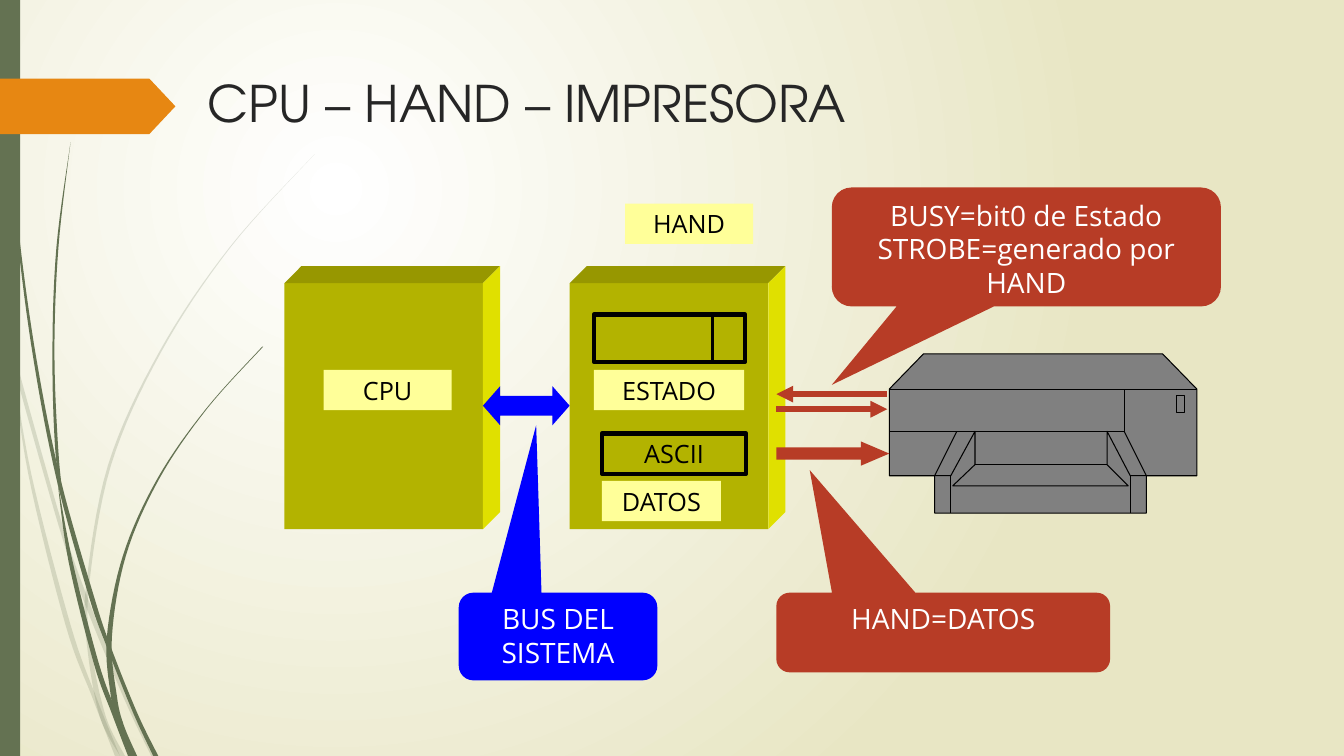
from lxml import etree
from pptx import Presentation
from pptx.dml.color import RGBColor
from pptx.enum.shapes import MSO_CONNECTOR as CONN, MSO_SHAPE as SHAPE
from pptx.enum.text import MSO_ANCHOR as ANCHOR, PP_ALIGN as ALIGN
from pptx.oxml.ns import qn
from pptx.util import Inches, Pt

GREEN = RGBColor(0x64, 0x72, 0x52)
ORANGE = RGBColor(0xE7, 0x87, 0x12)
CREAM = RGBColor(0xE8, 0xE6, 0xC4)
FRONT = RGBColor(0xB3, 0xB3, 0x00)
TOP = RGBColor(0x97, 0x97, 0x00)
SIDE = RGBColor(0xE0, 0xE0, 0x00)
LABEL = RGBColor(0xFF, 0xFF, 0x99)
RED = RGBColor(0xB7, 0x3C, 0x26)
BLUE = RGBColor(0x00, 0x00, 0xFF)
GREY = RGBColor(0x80, 0x80, 0x80)
INK = RGBColor(0x26, 0x26, 0x26)
BLACK = RGBColor(0x00, 0x00, 0x00)
WHITE = RGBColor(0xFF, 0xFF, 0xFF)
TITLE_FONT, BODY_FONT = "TeX Gyre Adventor", "Open Sans"

TITLE = "CPU – HAND – IMPRESORA"

# Grass blades: (left edge, right edge, y) from tip to root
PALE_BLADES = [
    [(0, 0, 2.82), (0.1, 0.14, 3.45), (0.17, 0.21, 3.76), (0.58, 0.62, 5.21),
     (0.83, 0.88, 5.96), (1.23, 1.27, 6.93), (1.5, 1.55, 7.5)],
    [(0.11, 0.11, 3.5), (0.28, 0.31, 4.7), (0.65, 0.7, 6.2), (0.92, 0.96, 6.93),
     (1.14, 1.19, 7.5)],
    [(3.12, 3.12, 1.53), (2.28, 2.29, 2.45), (1.58, 1.6, 3.49), (1.07, 1.1, 4.62),
     (0.85, 0.88, 5.85), (0.87, 0.91, 6.46), (0.99, 1.05, 7.11), (1.19, 1.24, 7.5)],
]
DARK_BLADES = [
    [(0.03, 0.04, 0), (0.07, 0.08, 1.1), (0.17, 0.19, 2.33), (0.33, 0.36, 3.55),
     (0.56, 0.6, 4.75), (0.88, 0.93, 5.91), (1.06, 1.1, 6.42), (1.32, 1.36, 7.07),
     (1.52, 1.57, 7.5)],
    [(0.57, 0.57, 4.77), (0.68, 0.72, 5.57), (0.93, 0.98, 6.58), (1.11, 1.16, 7.08),
     (1.27, 1.31, 7.5)],
    [(0.7, 0.7, 1.41), (0.56, 0.58, 2.45), (0.52, 0.54, 3.49), (0.55, 0.58, 4.49),
     (0.64, 0.64, 5.05)],
    [(2.6, 2.61, 3.44), (2.04, 2.05, 4.06), (1.56, 1.58, 4.75), (1.22, 1.25, 5.51),
     (1.06, 1.11, 6.32), (1.1, 1.16, 6.91), (1.17, 1.23, 7.2), (1.28, 1.36, 7.5)],
]

BLOCK_LEFTS = [2.82, 5.65]
BLOCK_TOP, BLOCK_W, BLOCK_H, DEPTH = 2.81, 1.97, 2.44, 0.17

PRINTER_BODY = [(9.16, 3.51), (11.53, 3.51), (11.87, 3.86), (11.87, 4.72), (11.37, 4.72),
                (11.37, 5.09), (9.27, 5.09), (9.27, 4.72), (8.82, 4.72), (8.82, 3.86),
                (9.16, 3.51)]
PRINTER_EDGES = [
    [(8.82, 3.86), (11.87, 3.86)],
    [(11.15, 3.86), (11.15, 4.28), (8.82, 4.28)],
    [(9.43, 4.72), (9.43, 5.09)],
    [(11.21, 4.72), (11.21, 5.09)],
    [(10.98, 4.61), (10.98, 4.28), (11.21, 4.72), (11.37, 4.72), (11.15, 4.28)],
    [(10.98, 4.61), (11.19, 4.82), (9.45, 4.82), (9.67, 4.61), (9.67, 4.28),
     (9.43, 4.72), (9.27, 4.72), (9.49, 4.28)],
    [(9.67, 4.61), (10.98, 4.61)],
    [(11.67, 3.92), (11.75, 3.92), (11.75, 4.09), (11.67, 4.09), (11.67, 3.92)],
]

LABELS = [  # text, box
    ("CPU", (3.21, 3.67, 1.27, 0.4)),
    ("ESTADO", (5.89, 3.67, 1.49, 0.4)),
    ("DATOS", (5.97, 4.77, 1.18, 0.4)),
    ("HAND", (6.2, 2.02, 1.27, 0.4)),
]
REGISTERS = [("", (5.89, 3.12, 1.5, 0.47)), ("ASCII", (5.97, 4.3, 1.43, 0.4))]
SIGNALS = [(4.06, "tailEnd"), (3.91, "headEnd")]  # y, arrowhead end
BLOCK_ARROWS = [  # shape, box, adjustments, colour
    (SHAPE.RIGHT_ARROW, (7.7, 4.38, 1.12, 0.24), (0.5, 1.17), RED),
    (SHAPE.LEFT_RIGHT_ARROW, (4.79, 3.83, 0.86, 0.39), (0.5, 0.44), BLUE),
]
CALLOUTS = [  # text, box, pointer offset, colour
    ("BUSY=bit0 de Estado STROBE=generado por HAND", (8.25, 1.86, 3.86, 1.18), (-0.5, 1.16), RED),
    ("HAND=DATOS", (7.7, 5.88, 3.31, 0.79), (-0.4, -2.04), RED),
    ("BUS DEL SISTEMA", (4.55, 5.88, 1.97, 0.87), (-0.11, -2.41), BLUE),
]

prs = Presentation()
prs.slide_width, prs.slide_height = Inches(13.33), Inches(7.5)
s = prs.slides.add_slide(prs.slide_layouts[5])


def write(sp, text, size=18, color=BLACK, font=BODY_FONT, align=ALIGN.CENTER, anchor=ANCHOR.MIDDLE):
    tf = sp.text_frame
    tf.word_wrap, tf.vertical_anchor = True, anchor
    p = tf.paragraphs[0]
    p.alignment = align
    r = p.add_run()
    r.text = text
    r.font.size, r.font.name, r.font.color.rgb = Pt(size), font, color


def paint(sp, fill=None, line=None, width=0.75):
    sp.shadow.inherit = False
    if fill is None:
        sp.fill.background()
    else:
        sp.fill.solid()
        sp.fill.fore_color.rgb = fill
    if line is None:
        sp.line.fill.background()
    else:
        sp.line.color.rgb, sp.line.width = line, Pt(width)
    return sp


def shape(kind, box, adjustments=(), **look):
    sp = s.shapes.add_shape(kind, *map(Inches, box))
    for i, value in enumerate(adjustments):
        sp.adjustments[i] = value
    return paint(sp, **look)


def outline(contours, close=True, **look):
    fb = None
    for contour in contours:
        pts = [(Inches(x), Inches(y)) for x, y in contour]
        if fb is None:
            fb = s.shapes.build_freeform(*pts[0], scale=1.0)
        else:
            fb.move_to(*pts[0])
        fb.add_line_segments(pts[1:], close=close)
    return paint(fb.convert_to_shape(), **look)


def smooth(points, steps=8):
    """Catmull-Rom curve through the points."""
    ext = [points[0], *points, points[-1]]
    curve = [points[0]]
    for a, b, c, d in zip(ext, ext[1:], ext[2:], ext[3:]):
        for k in range(1, steps + 1):
            t = k / steps
            curve.append(tuple(
                (2 * q + (r - p) * t + (2 * p - 5 * q + 4 * r - u) * t ** 2
                 + (3 * q - p - 3 * r + u) * t ** 3) / 2
                for p, q, r, u in zip(a, b, c, d)))
    return curve


def blade(stations):
    curve = smooth(stations)
    edge = [(left, y) for left, right, y in curve] + [(right, y) for left, right, y in curve[::-1]]
    return outline([edge], fill=GREEN)


def line(x1, y1, x2, y2, color, width, arrow=None):
    c = s.shapes.add_connector(CONN.STRAIGHT, *map(Inches, (x1, y1, x2, y2)))
    c.line.color.rgb, c.line.width = color, Pt(width)
    if arrow:
        etree.SubElement(c.line._get_or_add_ln(), qn("a:" + arrow), type="triangle")
    etree.SubElement(c._element.spPr, qn("a:effectLst"))


# Background glow centred a quarter of the way in
bg = s.background.fill
bg.gradient()
for stop, color, position in zip(bg.gradient_stops, (WHITE, CREAM), (0, 1)):
    stop.color.rgb, stop.position = color, position
grad = s._element.find(".//" + qn("a:gradFill"))
grad.remove(grad.find(qn("a:lin")))
glow = etree.SubElement(grad, qn("a:path"), path="circle")
etree.SubElement(glow, qn("a:fillToRect"), l="50000", t="50000", r="100000", b="100000")

# Side decoration
for stations in PALE_BLADES:
    sp = blade(stations)
    color = sp._element.spPr.find(qn("a:solidFill"))[0]
    etree.SubElement(color, qn("a:alpha"), val="20000")
for stations in DARK_BLADES:
    blade(stations)
shape(SHAPE.RECTANGLE, (0, 0, 0.2, 7.5), fill=GREEN)
shape(SHAPE.PENTAGON, (0, 0.78, 1.74, 0.55), (0.47,), fill=ORANGE)

title = s.shapes.title
title.left, title.top, title.width, title.height = map(Inches, (1.96, 0.67, 9.75, 1.03))
write(title, TITLE, size=36, color=INK, font=TITLE_FONT, align=ALIGN.LEFT, anchor=ANCHOR.TOP)

# Solid blocks for the CPU and the controller
for x in BLOCK_LEFTS:
    y, right, bottom = BLOCK_TOP, x + BLOCK_W, BLOCK_TOP + BLOCK_H
    back = (right + DEPTH, y - DEPTH)
    shape(SHAPE.RECTANGLE, (x, y, BLOCK_W, BLOCK_H), fill=FRONT)
    outline([[(x, y), (x + DEPTH, y - DEPTH), back, (right, y)]], fill=TOP)
    outline([[(right, y), back, (right + DEPTH, bottom - DEPTH), (right, bottom)]], fill=SIDE)

outline([PRINTER_BODY], fill=GREY, line=BLACK)
outline(PRINTER_EDGES, close=False, line=BLACK)

for text, box in REGISTERS:
    sp = shape(SHAPE.RECTANGLE, box, line=BLACK, width=3)
    if text:
        write(sp, text)
line(7.07, 3.12, 7.07, 3.59, BLACK, 2)
for y, arrow in SIGNALS:
    line(7.7, y, 8.8, y, RED, 4, arrow)
for kind, box, adjustments, color in BLOCK_ARROWS:
    shape(kind, box, adjustments, fill=color)
for text, box in LABELS:
    write(shape(SHAPE.RECTANGLE, box, fill=LABEL), text)
for text, box, pointer, color in CALLOUTS:
    sp = shape(SHAPE.ROUNDED_RECTANGULAR_CALLOUT, box, pointer, fill=color)
    write(sp, text, size=20, color=WHITE, anchor=ANCHOR.TOP)

prs.save("out.pptx")
